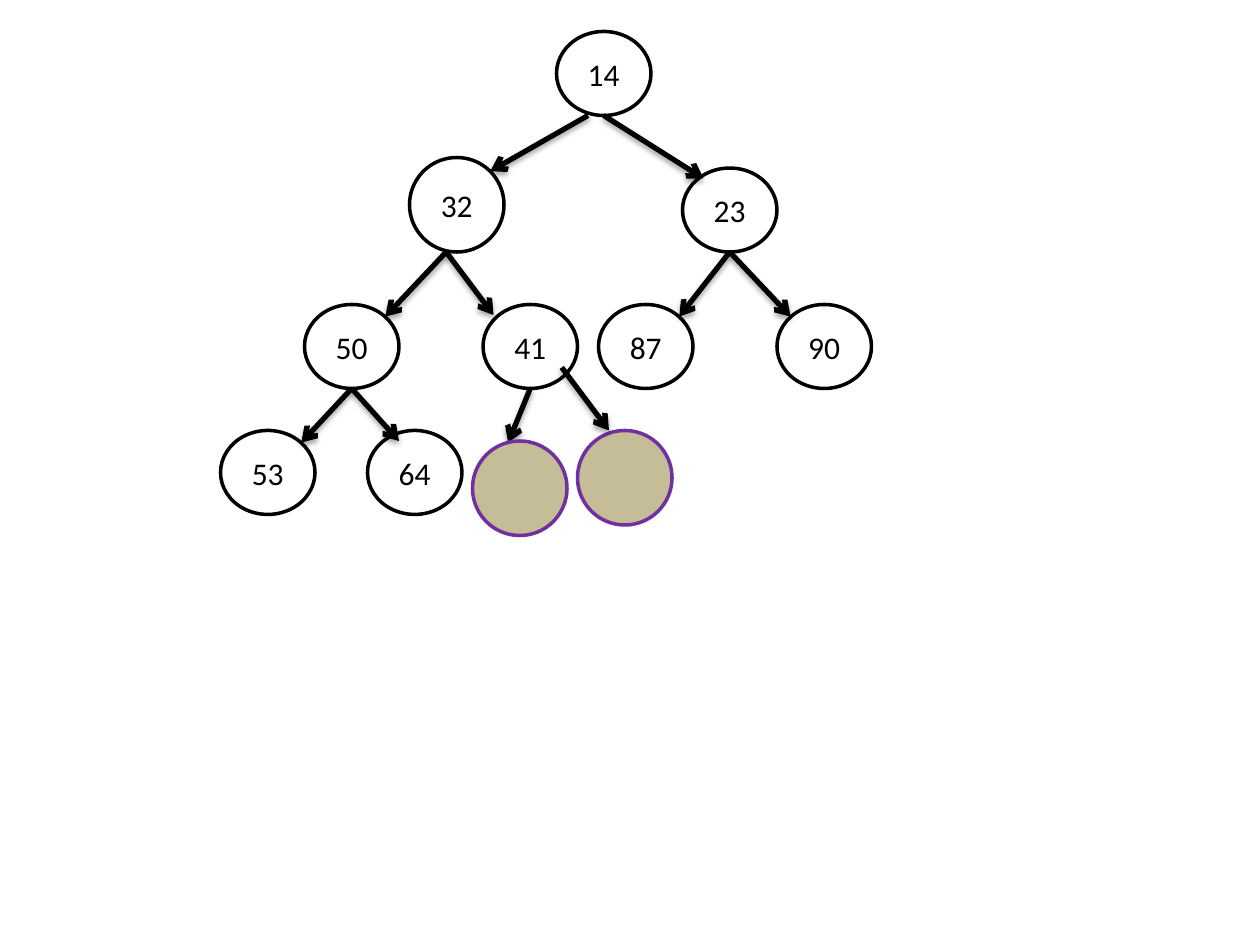
from typing import NamedTuple

from lxml import etree
from pptx import Presentation
from pptx import util as u
from pptx.dml.color import RGBColor
from pptx.enum import shapes, text
from pptx.oxml import parse_xml
from pptx.oxml.ns import nsdecls, qn

BLACK = RGBColor(0x00, 0x00, 0x00)
WHITE = RGBColor(0xFF, 0xFF, 0xFF)
TAN = RGBColor(0xC4, 0xBD, 0x97)
PURPLE = RGBColor(0x70, 0x30, 0xA0)
FONT = "Calibri"
COLS, ROWS = 120, 90
WIDE = 9


class Node(NamedTuple):
    col: float
    row: float
    key: str = ""
    tall: float = 8
    fill: RGBColor = WHITE
    edge: RGBColor = BLACK


class Arrow(NamedTuple):
    col: float
    row: float
    end_col: float
    end_row: float


NODES = [
    Node(53, 3, "14"),
    Node(35, 41, "64"),
    Node(29, 29, "50"),
    Node(46, 29, "41"),
    Node(21, 41, "53"),
    Node(74, 29, "90"),
    Node(65, 16, "23"),
    Node(57, 29, "87"),
]
ARROWS = [
    Arrow(42.5, 24, 47, 30),
    Arrow(42.5, 24, 36.7, 30.15),
    Arrow(56, 11, 46.7, 16.3),
    Arrow(57.5, 11, 67, 17),
    Arrow(33.5, 37, 28.7, 42.15),
    Arrow(50.5, 37, 48.4, 42.15),
    Arrow(33.5, 37, 38, 42),
    Arrow(69.5, 24, 64.7, 30.15),
    Arrow(69.5, 24, 75.3, 30.15),
]
ROUND = [
    Node(39, 15, "32", WIDE),
    Node(45, 42, "", WIDE, TAN, PURPLE),
    Node(55, 41, "", WIDE, TAN, PURPLE),
]
LAST = Arrow(53.5, 35, 58, 41)

deck = Presentation()
deck.slide_width = u.Inches(10)
deck.slide_height = u.Inches(7.5)
slide = deck.slides.add_slide(deck.slide_layouts[6])


def x(col: float) -> int:
    return round(deck.slide_width * col / COLS)


def y(row: float) -> int:
    return round(deck.slide_height * row / ROWS)


def add_node(node: Node) -> None:
    oval = slide.shapes.add_shape(
        shapes.MSO_SHAPE.OVAL, x(node.col), y(node.row), x(WIDE), y(node.tall)
    )
    oval.shadow.inherit = False
    oval.fill.solid()
    oval.fill.fore_color.rgb = node.fill
    oval.line.color.rgb = node.edge
    oval.line.width = u.Pt(2)
    if not node.key:
        return
    frame = oval.text_frame
    frame.vertical_anchor = text.MSO_ANCHOR.MIDDLE
    para = frame.paragraphs[0]
    para.alignment = text.PP_ALIGN.CENTER
    run = para.add_run()
    run.text = node.key
    run.font.name = FONT
    run.font.size = u.Pt(18)
    run.font.color.rgb = BLACK


def add_arrow(arrow: Arrow) -> None:
    line = slide.shapes.add_connector(
        shapes.MSO_CONNECTOR.STRAIGHT,
        x(arrow.col), y(arrow.row), x(arrow.end_col), y(arrow.end_row),
    )
    line.line.color.rgb = BLACK
    line.line.width = u.Pt(3)
    props = line._element.spPr
    etree.SubElement(props.find(qn("a:ln")), qn("a:tailEnd"), type="arrow")
    props.append(parse_xml(
        f'<a:effectLst {nsdecls("a")}>'
        f'<a:outerShdw blurRad="{u.Pt(3.1)}" dist="{u.Pt(1.8)}" '
        'dir="5400000" rotWithShape="0">'
        f'<a:srgbClr val="{BLACK}"><a:alpha val="35000"/></a:srgbClr>'
        '</a:outerShdw></a:effectLst>'
    ))


for node in NODES:
    add_node(node)
for arrow in ARROWS:
    add_arrow(arrow)
for node in ROUND:
    add_node(node)
add_arrow(LAST)

deck.save("out.pptx")
